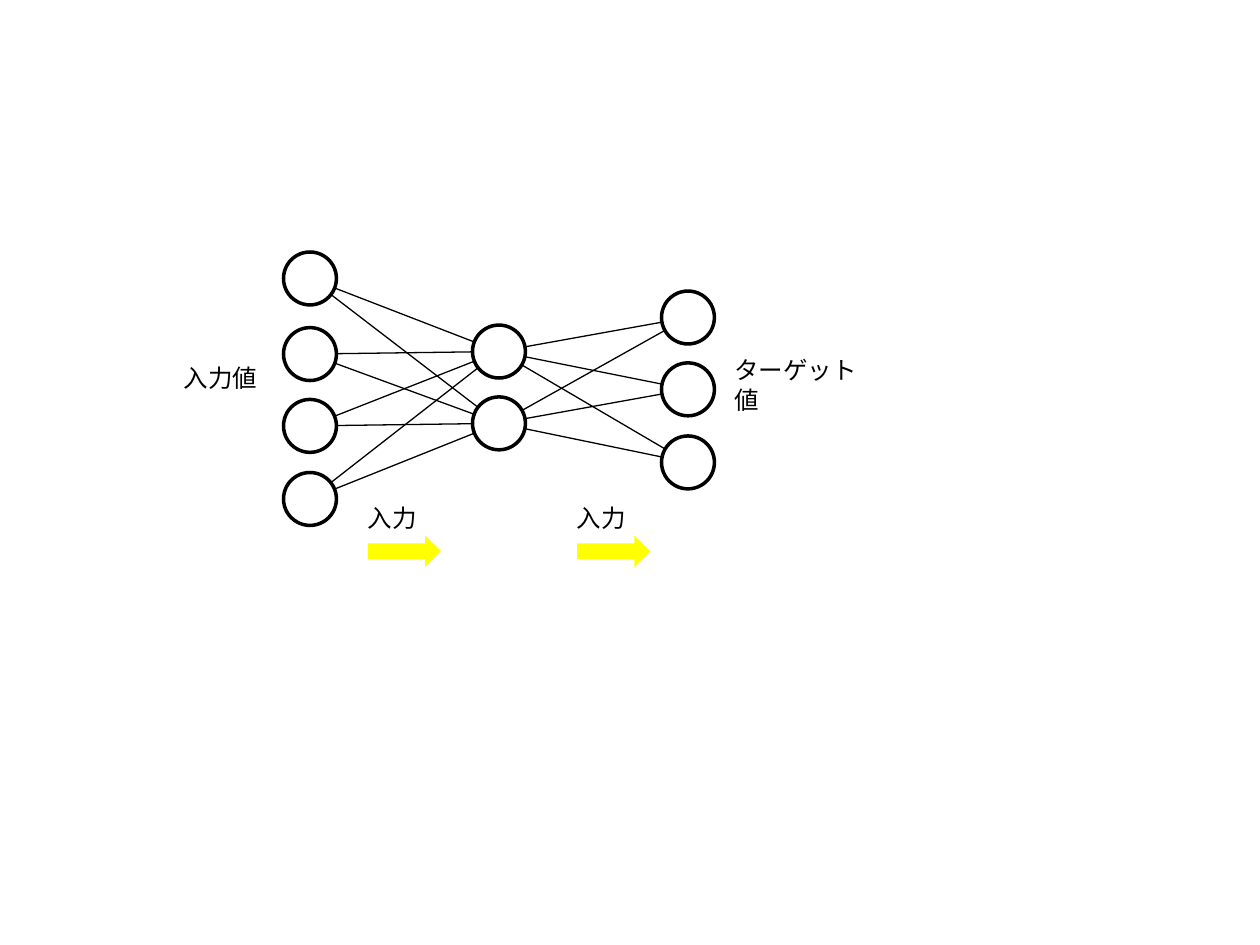
"""Build a slide with a three-layer neural network diagram."""
from dataclasses import dataclass
from itertools import pairwise, product

from lxml.etree import SubElement
from pptx import Presentation
from pptx.dml.color import RGBColor
from pptx.enum.shapes import MSO_CONNECTOR as Connector, MSO_SHAPE as Shape
from pptx.enum.text import MSO_AUTO_SIZE as AutoSize
from pptx.oxml.ns import qn
from pptx.slide import Slide
from pptx.util import Inches, Pt

BLACK = RGBColor(0x00, 0x00, 0x00)
WHITE = RGBColor(0xFF, 0xFF, 0xFF)
YELLOW = RGBColor(0xFF, 0xFF, 0x00)
DIAMETER = 0.42


@dataclass(frozen=True)
class Neuron:
    x: float
    y: float


@dataclass(frozen=True)
class Label:
    text: str
    left: float
    top: float
    width: float
    wrap: bool = False


LAYERS = [
    [Neuron(2.46, y) for y in (2.21, 2.81, 3.38, 3.96)],
    [Neuron(3.96, y) for y in (2.79, 3.36)],
    [Neuron(5.46, y) for y in (2.52, 3.09, 3.67)],
]
LABELS = [
    Label("ターゲット値", 5.73, 2.77, 1.2, wrap=True),
    Label("入力値", 1.36, 2.83, 0.79),
]
ARROW_LEFTS = (2.92, 4.58)


def draw_link(page: Slide, source: Neuron, target: Neuron) -> None:
    link = page.shapes.add_connector(
        Connector.STRAIGHT,
        Inches(source.x), Inches(source.y), Inches(target.x), Inches(target.y),
    )
    link.line.color.rgb = BLACK
    link.line.width = Pt(0.75)
    SubElement(link._element.spPr, qn("a:effectLst"))


def draw_neuron(page: Slide, neuron: Neuron) -> None:
    circle = page.shapes.add_shape(
        Shape.OVAL,
        Inches(neuron.x - DIAMETER / 2), Inches(neuron.y - DIAMETER / 2),
        Inches(DIAMETER), Inches(DIAMETER),
    )
    circle.shadow.inherit = False
    circle.fill.solid()
    circle.fill.fore_color.rgb = WHITE
    circle.line.color.rgb = BLACK
    circle.line.width = Pt(2)


def draw_label(page: Slide, label: Label) -> None:
    box = page.shapes.add_textbox(
        Inches(label.left), Inches(label.top), Inches(label.width), Inches(0.34)
    )
    frame = box.text_frame
    frame.word_wrap = label.wrap
    frame.auto_size = AutoSize.SHAPE_TO_FIT_TEXT
    para = frame.paragraphs[0]
    para.text = label.text
    para.font.name = "Calibri"
    para.font.size = Pt(14)
    para.font.color.rgb = BLACK


def draw_input_arrow(page: Slide, left: float) -> None:
    arrow = page.shapes.add_shape(
        Shape.RIGHT_ARROW, Inches(left), Inches(4.25), Inches(0.58), Inches(0.25)
    )
    arrow.shadow.inherit = False
    arrow.fill.solid()
    arrow.fill.fore_color.rgb = YELLOW
    arrow.line.fill.background()
    draw_label(page, Label("入力", left - 0.1, 3.94, 0.59))


def main() -> None:
    deck = Presentation()
    deck.slide_width, deck.slide_height = Inches(10), Inches(7.5)
    page = deck.slides.add_slide(deck.slide_layouts[6])
    for sources, targets in pairwise(LAYERS):
        for source, target in product(sources, targets):
            draw_link(page, source, target)
    for layer in LAYERS:
        for neuron in layer:
            draw_neuron(page, neuron)
    for label in LABELS:
        draw_label(page, label)
    for left in ARROW_LEFTS:
        draw_input_arrow(page, left)
    deck.save("out.pptx")


if __name__ == "__main__":
    main()
